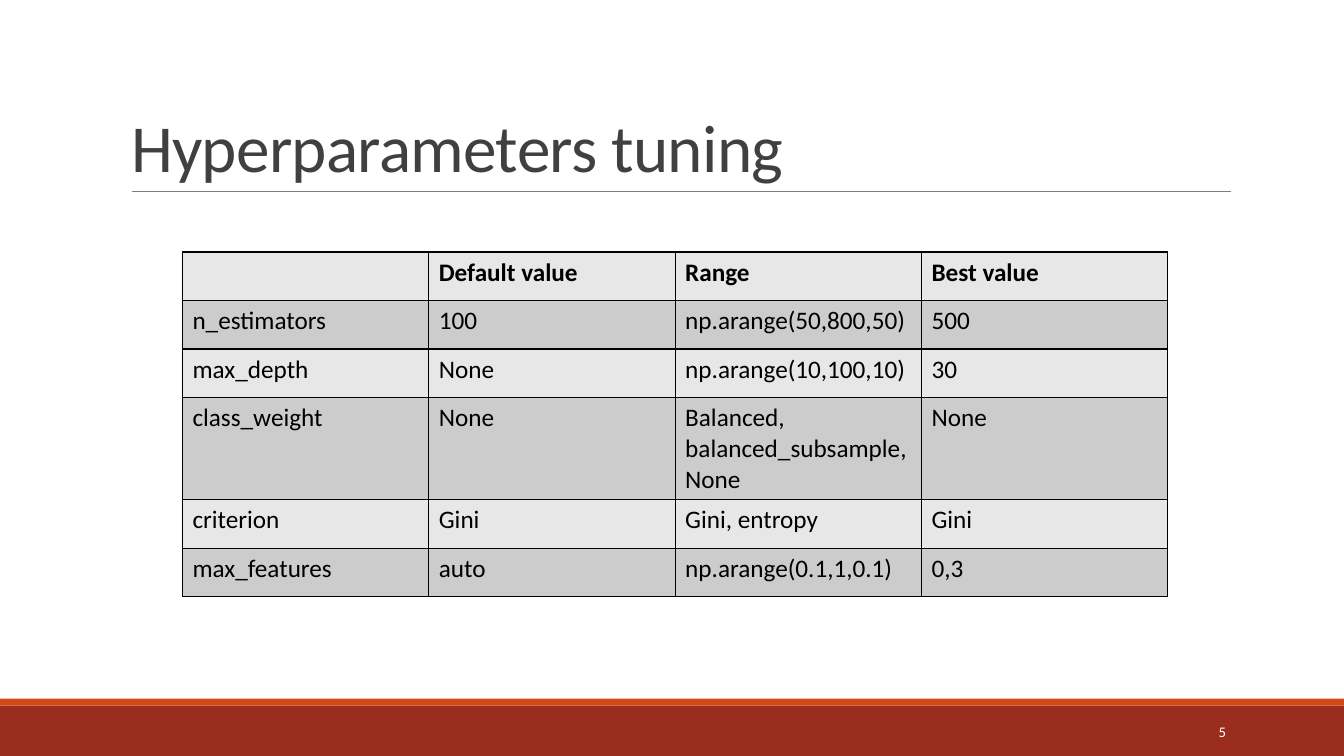
"""Build the slide on hyperparameter tuning."""
import pptx
import pptx.dml.color
import pptx.enum.shapes
import pptx.enum.text
import pptx.oxml.ns
import pptx.util
from lxml import etree

Pt = pptx.util.Pt
ANCHOR = pptx.enum.text.MSO_ANCHOR
ALIGN = pptx.enum.text.PP_ALIGN

TITLE = "Hyperparameters tuning"
PAGE_NUMBER = "5"
ROWS = [
    ("", "Default value", "Range", "Best value"),
    ("n_estimators", "100", "np.arange(50,800,50)", "500"),
    ("max_depth", "None", "np.arange(10,100,10)", "30"),
    ("class_weight", "None", "Balanced, balanced_subsample, None", "None"),
    ("criterion", "Gini", "Gini, entropy", "Gini"),
    ("max_features", "auto", "np.arange(0.1,1,0.1)", "0,3"),
]
BAND_FILLS = ("E7E7E7", "CCCCCC")
FOOTER_BARS = [(504, 36, "9B2D1F"), (499, 5, "D34817")]
PAGE_WIDTH, PAGE_HEIGHT = 960, 540
TABLE_LEFT, TABLE_TOP = 130.3, 180
COLUMN_WIDTH, ROW_HEIGHT = 176, 34.65


def colour(hex_text):
    return pptx.dml.color.RGBColor.from_string(hex_text)


def assign(target, values):
    for name, value in values.items():
        setattr(target, name, value)


def points(*lengths):
    return [Pt(length) for length in lengths]


def write(frame, text, size, hex_text, bold=False, align=ALIGN.LEFT):
    para = frame.paragraphs[0]
    para.alignment = align
    span = para.add_run()
    span.text = text
    assign(span.font, {"name": "Calibri", "size": Pt(size), "bold": bold})
    span.font.color.rgb = colour(hex_text)
    return span


def add_borders(cell, hex_text, width):
    properties = cell._tc.get_or_add_tcPr()
    qn = pptx.oxml.ns.qn
    for position, side in enumerate(("a:lnL", "a:lnR", "a:lnT", "a:lnB")):
        border = etree.Element(qn(side), w=str(Pt(width)))
        fill = etree.SubElement(border, qn("a:solidFill"))
        etree.SubElement(fill, qn("a:srgbClr"), val=hex_text)
        properties.insert(position, border)


def add_footer_and_rule(page):
    for top, height, fill in FOOTER_BARS:
        bar = page.shapes.add_shape(
            pptx.enum.shapes.MSO_SHAPE.RECTANGLE, *points(0, top, PAGE_WIDTH, height))
        bar.shadow.inherit = False
        bar.fill.solid()
        bar.fill.fore_color.rgb = colour(fill)
        bar.line.fill.background()
    rule = page.shapes.add_connector(
        pptx.enum.shapes.MSO_CONNECTOR.STRAIGHT, *points(94.3, 136.8, 879, 136.8))
    rule.line.color.rgb = colour("808080")
    rule.line.width = Pt(0.5)
    etree.SubElement(rule._element.spPr, pptx.oxml.ns.qn("a:effectLst"))


def add_title(page):
    title = page.shapes.title
    assign(title, dict(zip(("left", "top", "width", "height"),
                           points(86.4, 22.3, 792, 114.5))))
    assign(title.text_frame, {"vertical_anchor": ANCHOR.BOTTOM, "word_wrap": True,
                              "auto_size": pptx.enum.text.MSO_AUTO_SIZE.NONE})
    span = write(title.text_frame, TITLE, 48, "404040")
    span.font._element.set("spc", "-50")
    title.text_frame.paragraphs[0].line_spacing = 0.85


def add_parameter_table(page):
    row_count, column_count = len(ROWS), len(ROWS[0])
    table = page.shapes.add_table(row_count, column_count, *points(
        TABLE_LEFT, TABLE_TOP, COLUMN_WIDTH * column_count,
        ROW_HEIGHT * row_count)).table
    table.horz_banding = False
    for column in table.columns:
        column.width = Pt(COLUMN_WIDTH)
    for row_index, texts in enumerate(ROWS):
        table.rows[row_index].height = Pt(ROW_HEIGHT)
        for column_index, text in enumerate(texts):
            cell = table.cell(row_index, column_index)
            cell.fill.solid()
            cell.fill.fore_color.rgb = colour(BAND_FILLS[row_index % 2])
            add_borders(cell, "000000", 1)
            if text:
                write(cell.text_frame, text, 18, "000000", bold=row_index == 0)


def add_page_number(page):
    box = page.shapes.add_textbox(*points(779.8, 508.3, 103, 28.8))
    assign(box.text_frame, {"word_wrap": True, "vertical_anchor": ANCHOR.MIDDLE})
    write(box.text_frame, PAGE_NUMBER, 10.5, "FFFFFF", align=ALIGN.RIGHT)


def main():
    deck = pptx.Presentation()
    assign(deck, {"slide_width": Pt(PAGE_WIDTH), "slide_height": Pt(PAGE_HEIGHT)})
    page = deck.slides.add_slide(deck.slide_layouts.get_by_name("Title Only"))
    add_footer_and_rule(page)
    add_title(page)
    add_parameter_table(page)
    add_page_number(page)
    deck.save("out.pptx")


if __name__ == "__main__":
    main()
